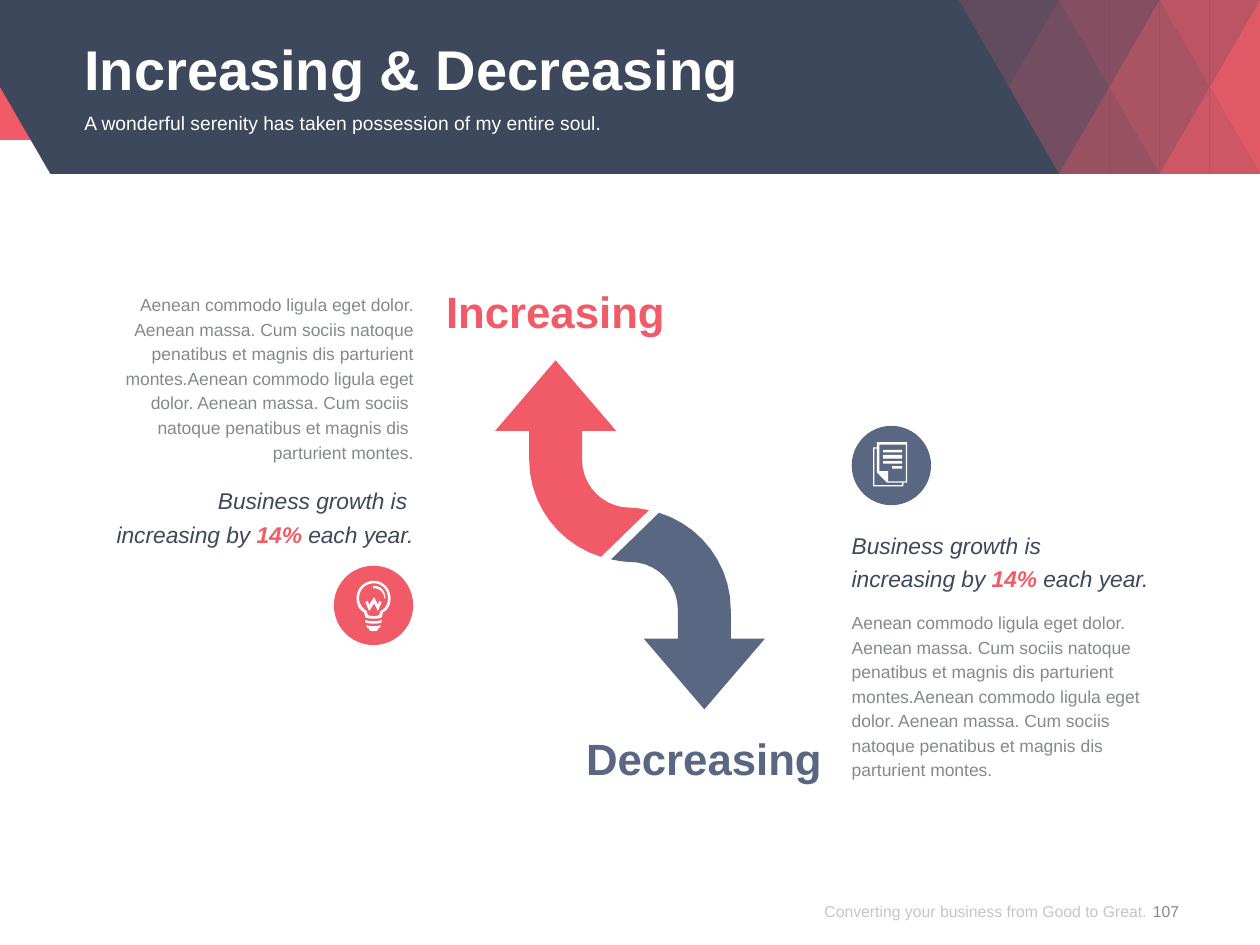
"""Build the Increasing & Decreasing slide with two opposed arrows."""
from lxml import etree
from pptx import Presentation
from pptx.dml.color import RGBColor
from pptx.enum.shapes import MSO_SHAPE
from pptx.enum.text import MSO_ANCHOR, PP_ALIGN
from pptx.oxml.ns import qn
from pptx.util import Inches, Pt

LEFT, CENTER, RIGHT = PP_ALIGN.LEFT, PP_ALIGN.CENTER, PP_ALIGN.RIGHT
TOP, MIDDLE = MSO_ANCHOR.TOP, MSO_ANCHOR.MIDDLE
OVAL, RECTANGLE = MSO_SHAPE.OVAL, MSO_SHAPE.RECTANGLE
FONT = "Arial"
CORAL, NAVY, SLATE = "F15B67", "3D485D", "5A6783"
GRAY, PALE, WHITE = "85898F", "8C8C8C", "FFFFFF"

TITLE = "Increasing & Decreasing"
SUBTITLE = "A wonderful serenity has taken possession of my entire soul."
FOOTER = "Converting your business from Good to Great."
PAGE = "107"
DETAILS = "\v".join([
    "Aenean commodo ligula eget dolor. Aenean massa. Cum sociis natoque penatibus "
    "et magnis dis parturient montes.Aenean commodo ligula eget dolor. "
    "Aenean massa. Cum sociis ",
    "natoque penatibus et magnis dis ",
    "parturient montes.",
])
GROWTH_END = [("increasing by ", NAVY, False), ("14%", CORAL, True), (" each year.", NAVY, False)]
HEADINGS = [
    ("Increasing", CORAL, (3.54, 2.26, 2.61, 0.42), LEFT),
    ("Decreasing", SLATE, (3.91, 5.81, 2.61, 0.42), RIGHT),
]
COLUMNS = [
    (0.67, 2.31, 3.82, "Business growth is ", RIGHT),
    (6.76, 4.83, 4.17, "Business growth is", LEFT),
]
BADGES = [(2.65, 4.49, CORAL), (6.76, 3.38, SLATE)]

BANNER = [(10, 0), (10, 1.38), (0.4, 1.38), (0, 0.69), (0, 0)]
MOSAIC_LEFT, MOSAIC_STEP, ROW = 7.61, 0.3983, 0.69
MOSAIC = [
    (2, 1, 2, 30), (2, 1, 0, 30), (3, 0, 1, 40), (5, 0, 1, 70),
    (3, 2, 1, 50), (1, 0, 1, 20), (5, 2, 1, 80), (4, 1, 0, 60),
    (4, 1, 2, 60), (6, 1, 0, 90), (6, 1, 2, 90),
]

ARROW_TURN = (10, 8.49)
ARROW = [
    (5.15, 4.05), (4.77, 4.42), (4.44, 4.32, 4.2, 4.01, 4.2, 3.65), (4.2, 3.42),
    (3.93, 3.42), (4.41, 2.86), (4.89, 3.42), (4.62, 3.42), (4.62, 3.65),
    (4.62, 3.86, 4.79, 4.03, 5, 4.03), (5.05, 4.03, 5.1, 4.04, 5.15, 4.05),
]
BULB = [
    [(2.91, 4.96), (2.91, 4.98), (2.93, 4.99), (2.93, 5),
     (2.93, 5, 2.94, 5.01, 2.97, 5.01), (2.99, 5.01, 3, 5, 3, 5), (3, 4.99),
     (3.02, 4.98), (3.02, 4.96), (3.01, 4.97, 2.99, 4.97, 2.97, 4.97),
     (2.94, 4.97, 2.92, 4.97, 2.91, 4.96)],
    [(2.9, 4.92), (2.9, 4.94), (2.92, 4.95, 2.94, 4.95, 2.97, 4.95),
     (2.99, 4.95, 3.01, 4.95, 3.03, 4.94), (3.03, 4.92),
     (3.01, 4.93, 2.99, 4.93, 2.97, 4.93), (2.94, 4.93, 2.92, 4.93, 2.9, 4.92)],
    [(2.97, 4.61), (2.89, 4.61, 2.83, 4.67, 2.83, 4.75),
     (2.83, 4.8, 2.85, 4.84, 2.89, 4.86), (2.9, 4.9),
     (2.92, 4.91, 2.94, 4.91, 2.97, 4.91), (2.99, 4.91, 3.01, 4.91, 3.03, 4.9),
     (3.04, 4.86), (3.08, 4.84, 3.1, 4.8, 3.1, 4.75),
     (3.1, 4.67, 3.04, 4.61, 2.97, 4.61)],
    [(3.02, 4.85), (3.01, 4.88), (3.01, 4.88, 3, 4.89, 2.97, 4.89),
     (2.93, 4.89, 2.92, 4.88, 2.92, 4.88), (2.91, 4.85),
     (2.88, 4.83, 2.85, 4.79, 2.85, 4.75), (2.85, 4.68, 2.9, 4.63, 2.97, 4.63),
     (3.03, 4.63, 3.08, 4.68, 3.08, 4.75), (3.08, 4.79, 3.06, 4.83, 3.02, 4.85)],
    [(3, 4.8), (2.97, 4.74), (2.93, 4.8), (2.92, 4.77), (2.9, 4.78), (2.93, 4.85),
     (2.97, 4.79), (3, 4.85), (3.03, 4.78), (3.01, 4.77)],
    [(2.97, 4.65), (2.96, 4.65, 2.96, 4.65, 2.96, 4.66),
     (2.96, 4.66, 2.96, 4.67, 2.97, 4.67), (3.01, 4.67, 3.05, 4.7, 3.05, 4.75),
     (3.06, 4.75), (3.06, 4.69, 3.02, 4.65, 2.97, 4.65)],
]
TEXT_LINES = [(7.01, 3.57, 7.16, 3.59), (7.01, 3.61, 7.16, 3.64),
              (7.01, 3.66, 7.16, 3.68), (7.08, 3.7, 7.16, 3.72)]
PAGES = [
    [(6.96, 3.51), (6.96, 3.55), (6.93, 3.55), (6.93, 3.86), (7.17, 3.86),
     (7.17, 3.83), (7.2, 3.83), (7.2, 3.51)],
    [(7.16, 3.85), (6.94, 3.85), (6.94, 3.56), (6.96, 3.56), (6.96, 3.75),
     (7.04, 3.83), (7.16, 3.83)],
    [(7.19, 3.82), (7.05, 3.82), (7.05, 3.74), (6.98, 3.74), (6.98, 3.53), (7.19, 3.53)],
] + [[(x1, y1), (x2, y1), (x2, y2), (x1, y2)] for x1, y1, x2, y2 in TEXT_LINES]


def paint(fill, color, alpha=100):
    """Apply a solid colour with an opacity in percent."""
    fill.solid()
    fill.fore_color.rgb = RGBColor.from_string(color)
    if alpha < 100:
        tint = next(fill._xPr.iter(qn("a:srgbClr")))
        etree.SubElement(tint, qn("a:alpha"), val=str(alpha * 1000))


def finish(shape, color, alpha=100):
    """Give a shape a flat fill without line or shadow."""
    paint(shape.fill, color, alpha)
    shape.line.fill.background()
    shape.shadow.inherit = False


def flatten(outline, steps=10):
    """Turn points and cubic curves into a list of points."""
    points = []
    for part in outline:
        if len(part) == 2:
            points.append(part)
            continue
        controls = [points[-1], part[:2], part[2:4], part[4:]]
        for step in range(1, steps + 1):
            t = step / steps
            weights = ((1 - t) ** 3, 3 * t * (1 - t) ** 2, 3 * t * t * (1 - t), t ** 3)
            points.append(tuple(sum(w * c[axis] for w, c in zip(weights, controls))
                                for axis in (0, 1)))
    return points


def draw(shapes, outlines, color, alpha=100):
    """Draw closed outlines as one freeform."""
    contours = [[(Inches(x), Inches(y)) for x, y in flatten(outline)] for outline in outlines]
    builder = shapes.build_freeform(*contours[0][0])
    for index, contour in enumerate(contours):
        if index:
            builder.move_to(*contour[0])
        builder.add_line_segments(contour[1:], close=True)
    finish(builder.convert_to_shape(), color, alpha)


def preset(shapes, kind, box, color):
    """Add a flat preset shape."""
    finish(shapes.add_shape(kind, *map(Inches, box)), color)


def write(shape, box, paragraphs, size, align=LEFT, anchor=TOP, spacing=None,
          italic=False, alpha=100):
    """Place a text shape and fill its paragraphs of (text, colour, bold) runs."""
    shape.left, shape.top, shape.width, shape.height = map(Inches, box)
    frame = shape.text_frame
    frame.word_wrap = True
    frame.vertical_anchor = anchor
    frame.margin_left = frame.margin_right = frame.margin_top = frame.margin_bottom = 0
    frame.text = "\n".join("" for _ in paragraphs)
    for paragraph, pieces in zip(frame.paragraphs, paragraphs):
        paragraph.alignment = align
        if spacing:
            paragraph.line_spacing = Pt(spacing)
        if len(pieces) == 1:
            paragraph.text = pieces[0][0]
        else:
            for piece in pieces:
                paragraph.add_run().text = piece[0]
        for index, run in enumerate(paragraph.runs):
            _, color, bold = pieces[min(index, len(pieces) - 1)]
            run.font.name, run.font.size = FONT, Pt(size)
            run.font.bold, run.font.italic = bold, italic
            paint(run.font.fill, color, alpha)


def main():
    """Assemble and save the slide."""
    deck = Presentation()
    deck.slide_width, deck.slide_height = Inches(10), Inches(7.5)
    slide = deck.slides.add_slide(deck.slide_layouts[5])
    shapes = slide.shapes

    def label(box, paragraphs, size, **style):
        write(shapes.add_textbox(0, 0, 0, 0), box, paragraphs, size, **style)

    preset(shapes, RECTANGLE, (0, 0, 10, 1.11), CORAL)
    draw(shapes, [BANNER], NAVY)
    for column, base, tip, alpha in MOSAIC:
        middle = MOSAIC_LEFT + column * MOSAIC_STEP
        for side in (-1, 1) if column < 6 else (-1,):
            corner = middle + side * MOSAIC_STEP
            draw(shapes, [[(middle, base * ROW), (middle, tip * ROW), (corner, base * ROW)]],
                 CORAL, alpha)

    shapes._spTree.append(shapes.title._element)
    write(shapes.title, (0.67, 0.19, 8.66, 0.65), [[(TITLE, WHITE, True)]], 32,
          anchor=MIDDLE, spacing=42)
    label((0.67, 0.88, 8.66, 0.39), [[(SUBTITLE, WHITE, False)]], 11)
    label((6.04, 6.96, 3.06, 0.54), [[(FOOTER, PALE, False)]], 9,
          align=RIGHT, anchor=MIDDLE, alpha=50)
    label((9.02, 6.96, 0.47, 0.54), [[(PAGE, GRAY, False)]], 9, align=CENTER, anchor=MIDDLE)

    for (left, top, color), icon in zip(BADGES, (BULB, PAGES)):
        preset(shapes, OVAL, (left, top, 0.63, 0.63), color)
        draw(shapes, icon, WHITE)

    up_arrow = flatten(ARROW)
    down_arrow = [(ARROW_TURN[0] - x, ARROW_TURN[1] - y) for x, y in up_arrow]
    draw(shapes, [up_arrow], CORAL)
    draw(shapes, [down_arrow], SLATE)

    for heading, color, box, align in HEADINGS:
        label(box, [[(heading, color, True)]], 25, align=align)
    for left, details_top, growth_top, growth_start, align in COLUMNS:
        label((left, details_top, 2.61, 1.37), [[(DETAILS, GRAY, False)]], 10,
              align=align, spacing=14)
        label((left, growth_top, 2.61, 0.53), [[(growth_start, NAVY, False)], GROWTH_END], 13,
              align=align, spacing=19, italic=True)
    deck.save("out.pptx")


if __name__ == "__main__":
    main()
